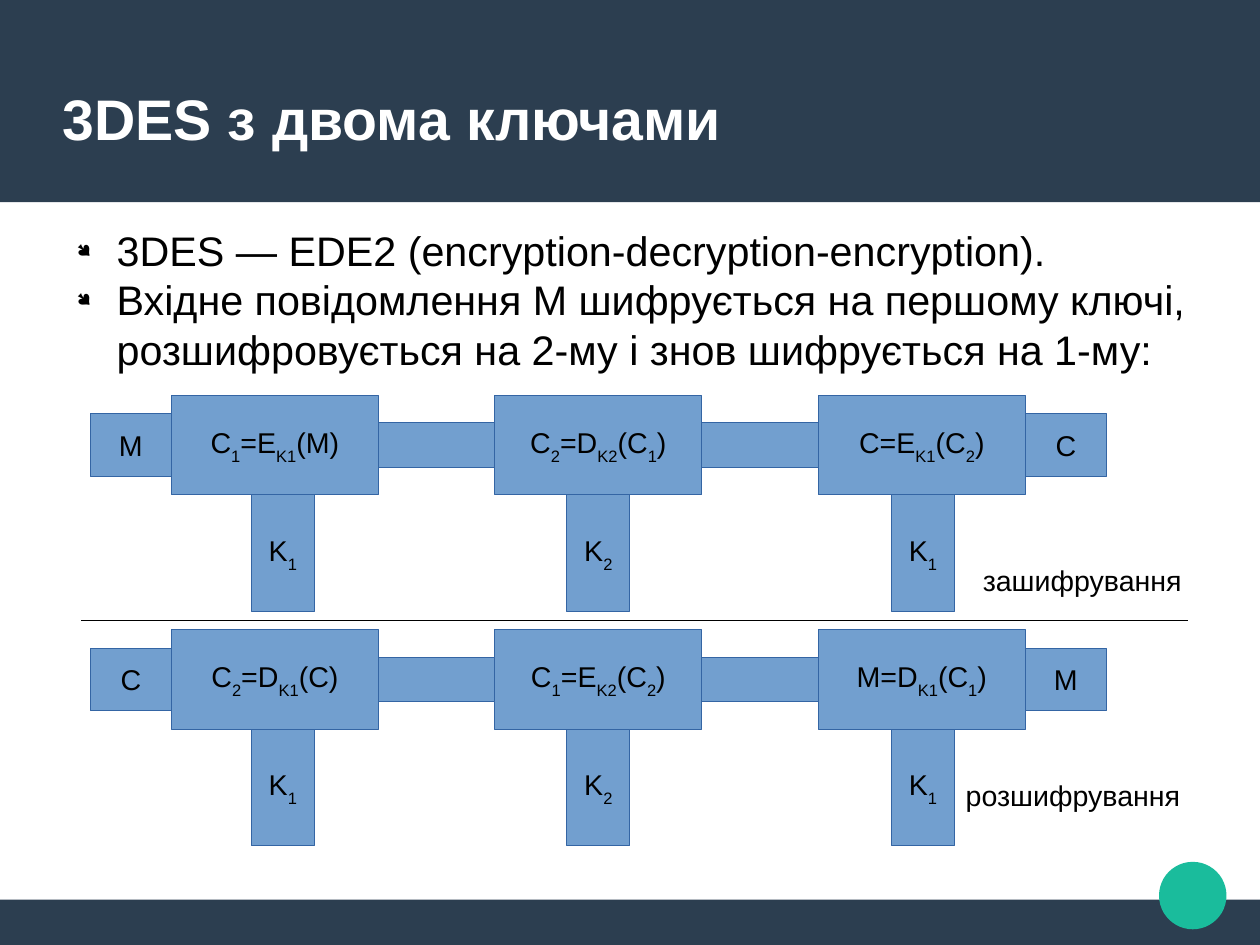
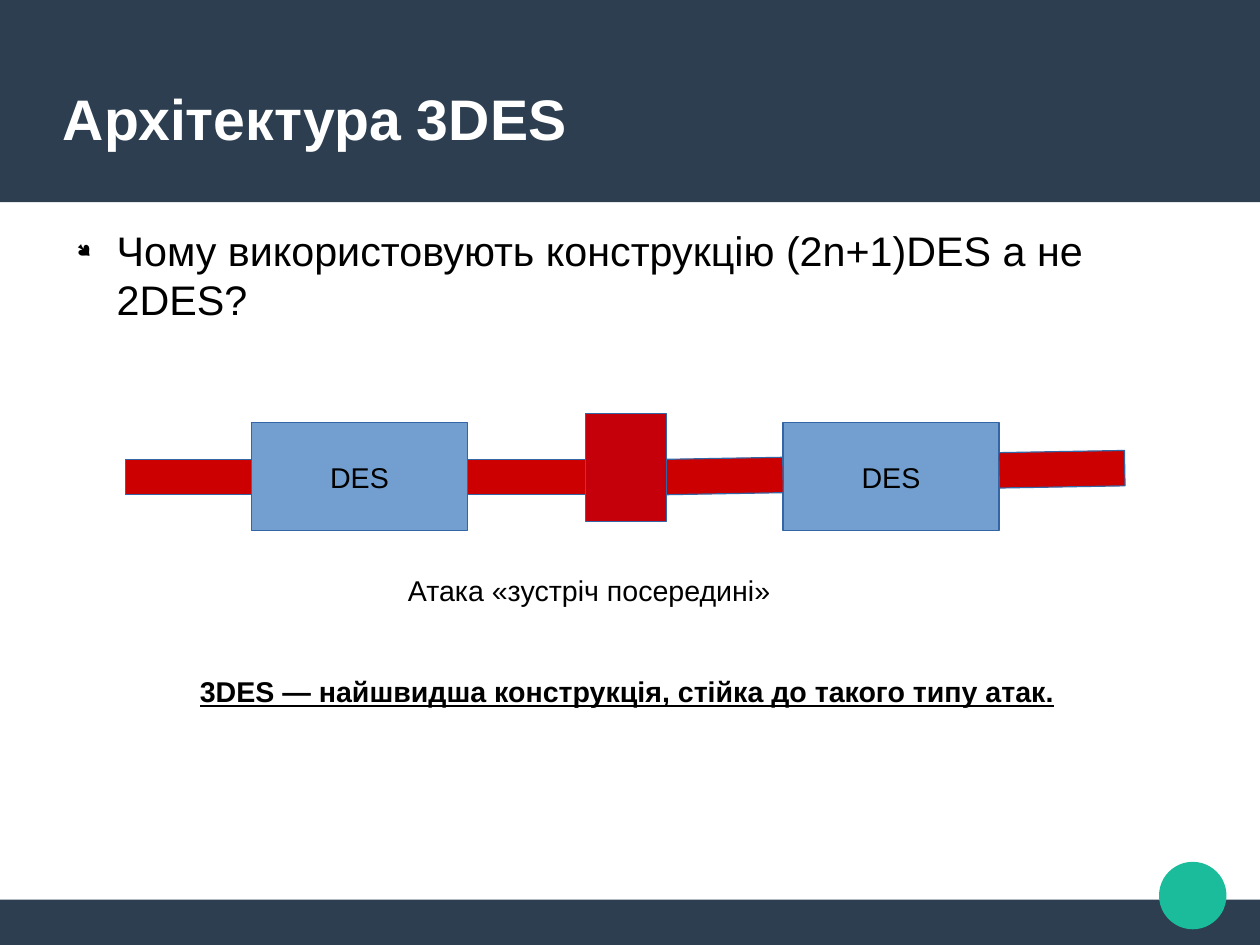
"""Build two slides on two-key 3DES and the meet-in-the-middle attack."""
from lxml import etree
from pptx import Presentation
from pptx.dml.color import RGBColor
from pptx.enum.shapes import MSO_CONNECTOR, MSO_SHAPE
from pptx.enum.text import MSO_ANCHOR, PP_ALIGN
from pptx.oxml.ns import qn
from pptx.util import Inches, Pt

RECT, OVAL = MSO_SHAPE.RECTANGLE, MSO_SHAPE.OVAL
STRAIGHT = MSO_CONNECTOR.STRAIGHT
TOP, MIDDLE = MSO_ANCHOR.TOP, MSO_ANCHOR.MIDDLE
LEFT, CENTER = PP_ALIGN.LEFT, PP_ALIGN.CENTER

COLORS = {"band": "2C3E50", "dot": "1ABC9C", "title": "FFFFFF", "text": "000000",
          "block": "729FCF", "outline": "3465A4", "attack": "CC0000", "meeting": "C5000B"}
FONT, BULLET_FONT = "Arial", "Wingdings"
CM_PER_INCH = 2.54
WIDTH, HEIGHT = 28 / CM_PER_INCH, 21 / CM_PER_INCH
FOOTER_TOP = 7.87
TITLE_STYLE = {"size": Pt(36), "bold": True}
BODY_STYLE = {"size": Pt(26)}
LABEL_STYLE = {"size": Pt(18)}
CONCLUSION_STYLE = {"size": Pt(18), "bold": True, "underline": True}

KEYS_TITLE = "3DES з двома ключами"
KEYS_BULLETS = [
    "3DES — EDE2 (encryption-decryption-encryption).",
    "Вхідне повідомлення М шифрується на першому ключі, "
    "розшифровується на 2-му і знов шифрується на 1-му:",
]
KEYS = ["K~1~", "K~2~", "K~1~"]
KEY_LEFTS = [2.2, 4.96, 7.8]
CHAINS = [
    {"top": 3.46, "input": "M", "output": "C",
     "stages": ["C~1~=E~K1~(M)", "C~2~=D~K2~(C~1~)", "C=E~K1~(C~2~)"],
     "caption": "зашифрування", "caption_at": (8.5, 4.88, 1.97, 0.38)},
    {"top": 5.51, "input": "C", "output": "M",
     "stages": ["C~2~=D~K1~(C)", "C~1~=E~K2~(C~2~)", "M=D~K1~(C~1~)"],
     "caption": "розшифрування", "caption_at": (8.35, 6.76, 2.12, 0.4)},
]
STAGE_LEFT, STAGE_PITCH, STAGE_W, STAGE_H = 1.5, 2.83, 1.81, 0.87
END_W, END_H = 0.71, 0.55
KEY_W, KEY_H = 0.55, 1.02
LINK_H = 0.39

ATTACK_TITLE = "Архітектура 3DES"
ATTACK_BULLETS = ["Чому використовують конструкцію (2n+1)DES а не 2DES?"]
DES_LEFTS = [2.2, 6.85]
DES_TOP, DES_W, DES_H = 3.7, 1.89, 0.94
PIPE_W, PIPE_H = 1.1, 0.31
PIPES = [(4.09, 4.02, 0), (1.1, 4.02, 0), (5.75, 4.01, 179), (8.74, 3.95, 179)]
MEETING_AT = (5.12, 3.62, 0.71, 0.94)
ATTACK_NOTES = [
    ("Атака «зустріч посередині»", (3.47, 4.96, 4.65, 0.38), LABEL_STYLE),
    ("3DES — найшвидша конструкція, стійка до такого типу атак.",
     (1.65, 5.85, 7.87, 0.38), CONCLUSION_STYLE),
]


def rgb(name):
    return RGBColor.from_string(COLORS[name])


def inches(at):
    return [Inches(value) for value in at]


def write(paragraph, text, style, color="text", align=LEFT):
    paragraph.alignment = align
    for index, piece in enumerate(text.split("~")):
        if not piece:
            continue
        run = paragraph.add_run()
        run.text = piece
        for attribute, value in {"name": FONT, **style}.items():
            setattr(run.font, attribute, value)
        run.font.color.rgb = rgb(color)
        if index % 2:
            run.font._element.set("baseline", "-33000")


def add_bullet(paragraph):
    properties = paragraph._p.get_or_add_pPr()
    properties.set("marL", str(Inches(0.47)))
    properties.set("indent", str(Inches(-0.35)))
    color = etree.SubElement(properties, qn("a:buClr"))
    etree.SubElement(color, qn("a:srgbClr"), val=COLORS["text"])
    etree.SubElement(properties, qn("a:buSzPct"), val="45000")
    etree.SubElement(properties, qn("a:buFont"), typeface=BULLET_FONT, charset="2")
    etree.SubElement(properties, qn("a:buChar"), char="●")


def add_text(slide, at, lines, style, color="text", anchor=TOP, inset=(0.1, 0.05), bullets=False):
    frame = slide.shapes.add_textbox(*inches(at)).text_frame
    frame.word_wrap = True
    frame.vertical_anchor = anchor
    frame.margin_left = frame.margin_right = Inches(inset[0])
    frame.margin_top = frame.margin_bottom = Inches(inset[1])
    for index, line in enumerate(lines):
        paragraph = frame.add_paragraph() if index else frame.paragraphs[0]
        if bullets:
            add_bullet(paragraph)
        write(paragraph, line, style, color)


def add_block(slide, at, text="", fill="block", outline="outline", kind=RECT, rotation=0):
    block = slide.shapes.add_shape(kind, *inches(at))
    block.shadow.inherit = False
    block.rotation = rotation
    block.fill.solid()
    block.fill.fore_color.rgb = rgb(fill)
    if outline:
        block.line.color.rgb = rgb(outline)
        block.line.width = Pt(0.75)
    else:
        block.line.fill.background()
    if text:
        frame = block.text_frame
        frame.word_wrap = False
        frame.vertical_anchor = MIDDLE
        write(frame.paragraphs[0], text, LABEL_STYLE, align=CENTER)


def add_base_slide(deck, title, bullets):
    slide = deck.slides.add_slide(deck.slide_layouts[6])
    add_block(slide, (0, FOOTER_TOP, WIDTH, HEIGHT - FOOTER_TOP), fill="band", outline=None)
    add_block(slide, (0, 0, WIDTH, 1.77), fill="band", outline=None)
    add_block(slide, (10.14, 7.54, 0.59, 0.59), fill="dot", outline=None, kind=OVAL)
    add_text(slide, (0.55, 0.63, 7.87, 0.79), [title], TITLE_STYLE, "title", MIDDLE, (0, 0))
    add_text(slide, (0.55, 1.97, 9.92, 4.79), bullets, BODY_STYLE, inset=(0, 0), bullets=True)
    return slide


def add_chain(slide, chain):
    top = chain["top"]
    end_top = top + (STAGE_H - END_H) / 2
    link_top = top + (STAGE_H - LINK_H) / 2
    lefts = [STAGE_LEFT + index * STAGE_PITCH for index in range(len(chain["stages"]))]
    add_block(slide, (STAGE_LEFT - END_W, end_top, END_W, END_H), chain["input"])
    for left, stage, key, key_left in zip(lefts, chain["stages"], KEYS, KEY_LEFTS):
        add_block(slide, (left, top, STAGE_W, STAGE_H), stage)
        add_block(slide, (key_left, top + STAGE_H, KEY_W, KEY_H), key)
    for left in lefts[:-1]:
        add_block(slide, (left + STAGE_W, link_top, STAGE_PITCH - STAGE_W, LINK_H))
    add_block(slide, (lefts[-1] + STAGE_W, end_top, END_W, END_H), chain["output"])
    add_text(slide, chain["caption_at"], [chain["caption"]], LABEL_STYLE)


def build_keys_slide(deck):
    slide = add_base_slide(deck, KEYS_TITLE, KEYS_BULLETS)
    for chain in CHAINS:
        add_chain(slide, chain)
    divider = slide.shapes.add_connector(STRAIGHT, *inches((0.71, 5.43, 10.39, 5.43)))
    divider.line.color.rgb = rgb("text")
    divider.line.width = Pt(0.75)
    etree.SubElement(divider._element.spPr, qn("a:effectLst"))


def build_attack_slide(deck):
    slide = add_base_slide(deck, ATTACK_TITLE, ATTACK_BULLETS)
    for left in DES_LEFTS:
        add_block(slide, (left, DES_TOP, DES_W, DES_H), "DES")
    for left, top, rotation in PIPES:
        add_block(slide, (left, top, PIPE_W, PIPE_H), fill="attack", rotation=rotation)
    add_block(slide, MEETING_AT, fill="meeting")
    for text, at, style in ATTACK_NOTES:
        add_text(slide, at, [text], style)


def main():
    deck = Presentation()
    deck.slide_width, deck.slide_height = Inches(WIDTH), Inches(HEIGHT)
    build_keys_slide(deck)
    build_attack_slide(deck)
    deck.save("out.pptx")


if __name__ == "__main__":
    main()
